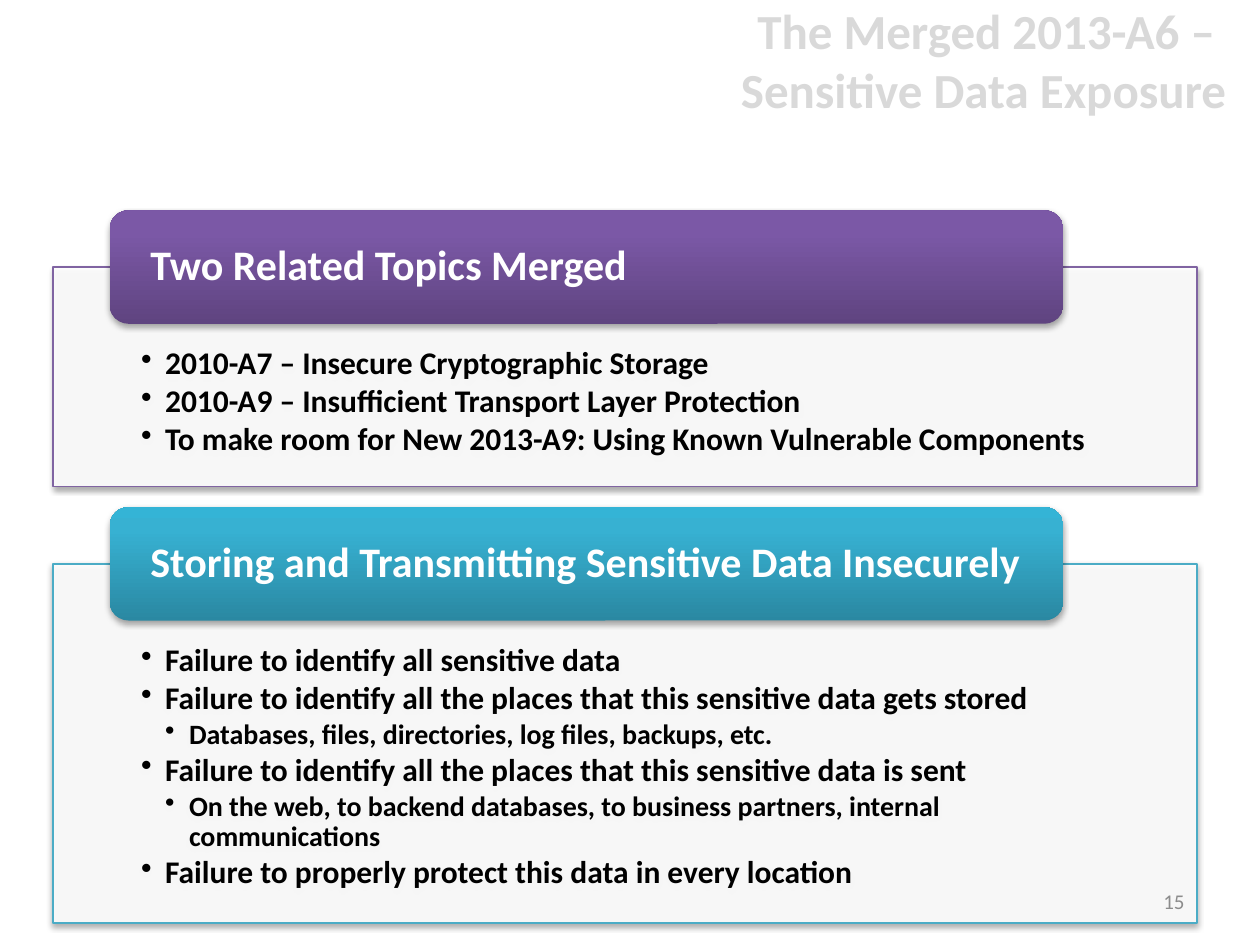
import copy

import lxml.etree
import pptx
import pptx.dml.color
import pptx.enum.shapes
import pptx.enum.text
import pptx.oxml
import pptx.oxml.ns
import pptx.util

SHAPES = pptx.enum.shapes.MSO_SHAPE
ALIGN = pptx.enum.text.PP_ALIGN
ANCHOR = pptx.enum.text.MSO_ANCHOR
DRAWING = "http://schemas.openxmlformats.org/drawingml/2006/main"
SHADOW = (
    f'<a:effectLst xmlns:a="{DRAWING}"><a:outerShdw blurRad="40000" dist="23000" '
    'dir="5400000" rotWithShape="0"><a:srgbClr val="000000"><a:alpha val="35000"/>'
    '</a:srgbClr></a:outerShdw></a:effectLst>'
)

TOPICS = [
    dict(top=16.7, height=17.4, line="8064A2", gradient=["5F4480", "7B58A6", "7C57A8"],
         heading="Two Related Topics Merged",
         bullets=[
             (0, "2010-A7 – Insecure Cryptographic Storage"),
             (0, "2010-A9 – Insufficient Transport Layer Protection"),
             (0, "To make room for New 2013-A9: Using Known Vulnerable Components"),
         ]),
    dict(top=40.25, height=28.5, line="4BACC6", gradient=["2A88A2", "37B1D2", "34B4D6"],
         heading="Storing and Transmitting Sensitive Data Insecurely",
         bullets=[
             (0, "Failure to identify all sensitive data"),
             (0, "Failure to identify all the places that this sensitive data gets stored"),
             (1, "Databases, files, directories, log files, backups, etc."),
             (0, "Failure to identify all the places that this sensitive data is sent"),
             (1, "On the web, to backend databases, to business partners, internal communications"),
             (0, "Failure to properly protect this data in every location"),
         ]),
]


def color(value):
    return pptx.dml.color.RGBColor.from_string(value)


class SlideBuilder:
    """Holds the style and the current slide, on a grid of 100 columns by 75 rows."""

    font = "Calibri"
    panel_left, panel_width = 4.2, 90.8
    heading_left, heading_width, heading_height = 8.7, 75.7, 9
    indent = 0.19

    def __init__(self, presentation):
        self.cell_width = presentation.slide_width / 100
        self.cell_height = presentation.slide_height / 75
        self.slide = presentation.slides.add_slide(presentation.slide_layouts[5])

    def box(self, left, top, width, height):
        return (round(left * self.cell_width), round(top * self.cell_height),
                round(width * self.cell_width), round(height * self.cell_height))

    def style(self, paragraph, size, ink, bold=True, align=ALIGN.LEFT):
        paragraph.alignment = align
        for run in paragraph.runs:
            run.font.name = self.font
            run.font.size = pptx.util.Pt(size)
            run.font.bold = bold
            run.font.color.rgb = color(ink)

    def frame(self, shape, anchor, sides=0.1, top=0.05):
        text_frame = shape.text_frame
        text_frame.word_wrap = True
        text_frame.auto_size = pptx.enum.text.MSO_AUTO_SIZE.NONE
        text_frame.vertical_anchor = anchor
        text_frame.margin_left = text_frame.margin_right = pptx.util.Inches(sides)
        text_frame.margin_top = pptx.util.Inches(top)
        text_frame.margin_bottom = pptx.util.Inches(0.05)
        return text_frame

    def title(self, text, left, top, width, height):
        shape = self.slide.shapes.title
        shape.left, shape.top, shape.width, shape.height = self.box(left, top, width, height)
        text_frame = self.frame(shape, ANCHOR.MIDDLE)
        text_frame.text = text
        self.style(text_frame.paragraphs[0], 28, "D9D9D9", align=ALIGN.RIGHT)

    def shadowed(self, kind, *place):
        shape = self.slide.shapes.add_shape(kind, *self.box(*place))
        shape._element.spPr.append(pptx.oxml.parse_xml(SHADOW))
        return shape

    def bullet(self, paragraph, level):
        properties = paragraph._p.get_or_add_pPr()
        properties.set("marL", str(pptx.util.Inches(self.indent * (level + 1))))
        properties.set("indent", str(-pptx.util.Inches(self.indent)))
        paragraph.line_spacing = 0.9
        paragraph.space_after = pptx.util.Pt(2.2)
        lxml.etree.SubElement(properties, pptx.oxml.ns.qn("a:buChar"), char="•")

    def panel(self, top, height, line, bullets):
        shape = self.shadowed(SHAPES.RECTANGLE, self.panel_left, top, self.panel_width, height)
        shape.fill.solid()
        shape.fill.fore_color.rgb = color("FFFFFF")
        fill = shape._element.spPr.find(".//" + pptx.oxml.ns.qn("a:srgbClr"))
        lxml.etree.SubElement(fill, pptx.oxml.ns.qn("a:alpha"), val="90000")
        shape.line.color.rgb = color(line)
        shape.line.width = pptx.util.Pt(0.75)
        text_frame = self.frame(shape, ANCHOR.TOP, sides=0.7, top=0.64)
        text_frame.text = "\n".join(text for _, text in bullets)
        for paragraph, (level, _) in zip(text_frame.paragraphs, bullets):
            paragraph.level = level
            self.bullet(paragraph, level)
            self.style(paragraph, 18 - 2 * level, "000000")

    def heading(self, text, top, gradient):
        shape = self.shadowed(SHAPES.ROUNDED_RECTANGLE, self.heading_left, top,
                              self.heading_width, self.heading_height)
        shape.fill.gradient()
        shape.fill.gradient_angle = 90
        stops = shape._element.spPr.find(".//" + pptx.oxml.ns.qn("a:gsLst"))
        stops.append(copy.deepcopy(stops[-1]))
        for stop, position, value in zip(shape.fill.gradient_stops, (0, 0.8, 1), gradient):
            stop.position = position
            stop.color.rgb = color(value)
        shape.line.fill.background()
        text_frame = self.frame(shape, ANCHOR.MIDDLE, sides=0.28)
        text_frame.text = text
        text_frame.paragraphs[0].line_spacing = 0.9
        self.style(text_frame.paragraphs[0], 24, "FFFFFF")

    def topic(self, top, height, line, gradient, heading, bullets):
        self.panel(top + self.heading_height / 2, height, line, bullets)
        self.heading(heading, top, gradient)

    def page_number(self, text, left, top, width, height):
        shape = self.slide.shapes.add_textbox(*self.box(left, top, width, height))
        text_frame = self.frame(shape, ANCHOR.MIDDLE)
        text_frame.text = text
        self.style(text_frame.paragraphs[0], 12, "8C8C8C", bold=False, align=ALIGN.RIGHT)


def main():
    presentation = pptx.Presentation()
    presentation.slide_width = pptx.util.Inches(10)
    presentation.slide_height = pptx.util.Inches(7.5)
    builder = SlideBuilder(presentation)
    builder.title("The Merged 2013-A6 – \vSensitive Data Exposure", 28.3, 0.8, 70, 7.8)
    for topic in TOPICS:
        builder.topic(**topic)
    builder.page_number("15", 71.7, 69.5, 23.3, 4)
    presentation.save("out.pptx")


if __name__ == "__main__":
    main()
